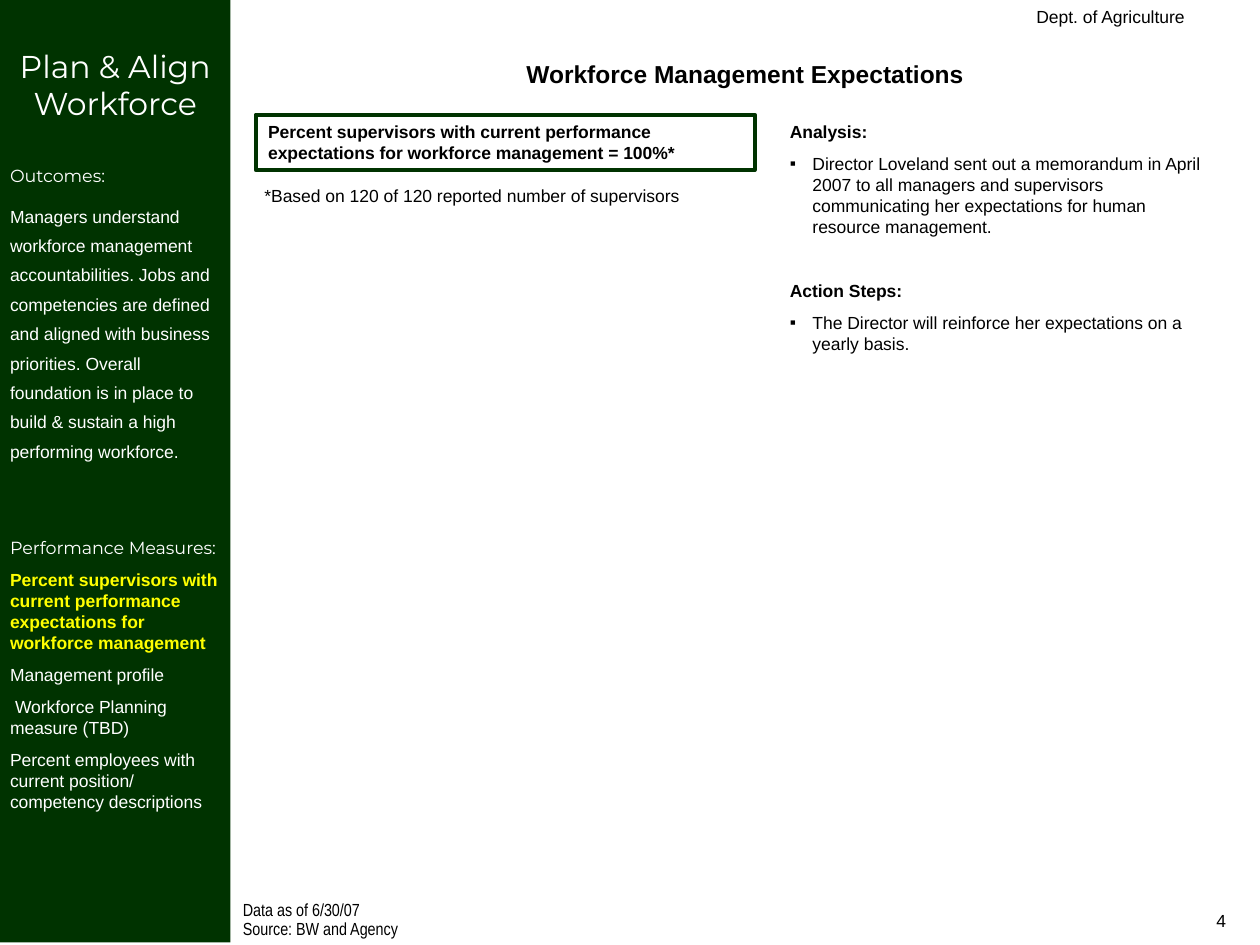
from pptx import Presentation
from pptx import util as u
from pptx.dml.color import RGBColor
from pptx.enum import shapes, text
from pptx.oxml import parse_xml
from pptx.oxml.ns import nsdecls

HUES = {"pine": "003300", "ink": "000000", "snow": "FFFFFF", "sun": "FFFF00"}
SANS, HEAD, SLIM = "Arial", "Montserrat", "Arial Narrow"
GAP, BREAK, WIDE = 6.2, 24.6, 43


class Deck:
    """Hold the style and the current slide, and draw its elements."""

    def __init__(self, width, height):
        self.prs = Presentation()
        self.prs.slide_width = u.Inches(width)
        self.prs.slide_height = u.Inches(height)
        self.slide = self.prs.slides.add_slide(self.prs.slide_layouts[6])

    def hue(self, name):
        return RGBColor.from_string(HUES[name])

    def setup(self, shape, pad):
        frame = shape.text_frame
        frame.word_wrap = True
        frame.vertical_anchor = text.MSO_ANCHOR.TOP
        sides = ("left", "top", "right", "bottom")
        for side, size in zip(sides, pad):
            setattr(frame, "margin_" + side, u.Inches(size))
        return frame

    def text(self, *at, pad=(0.1, 0.05, 0.1, 0.05)):
        box = self.slide.shapes.add_textbox(*map(u.Inches, at))
        return self.setup(box, pad)

    def rect(self, *at, fill=None, line=None, pad=(0.1, 0.05, 0.1, 0.05)):
        box = self.slide.shapes.add_shape(
            shapes.MSO_SHAPE.RECTANGLE, *map(u.Inches, at))
        box.shadow.inherit = False
        if fill:
            box.fill.solid()
            box.fill.fore_color.rgb = self.hue(fill)
        else:
            box.fill.background()
        if line:
            box.line.color.rgb = self.hue(line)
            box.line.width = u.Pt(2.25)
        else:
            box.line.fill.background()
        return self.setup(box, pad)

    def para(self, frame, words, size=10, font=SANS, hue="ink", bold=False,
             align="LEFT", gap=GAP, lead=None, shift=0, mark=False):
        first = not frame.paragraphs[0].runs
        para = frame.paragraphs[0] if first else frame.add_paragraph()
        para.add_run().text = words
        para.alignment = getattr(text.PP_ALIGN, align)
        para.space_before = u.Pt(0 if first else gap)
        if lead:
            para.line_spacing = lead
        props = para._p.get_or_add_pPr()
        if shift:
            props.set("indent", str(u.Inches(shift)))
        if mark:
            props.set("marL", str(u.Inches(0.18)))
            props.set("indent", str(u.Inches(-0.18)))
            props.append(parse_xml(f'<a:buFont {nsdecls("a")} typeface="Arial"/>'))
            props.append(parse_xml(f'<a:buChar {nsdecls("a")} char="▪"/>'))
        para.font.size = u.Pt(size)
        para.font.name = font
        para.font.bold = bold
        para.font.color.rgb = self.hue(hue)


def main():
    deck = Deck(10, 7.5)

    notes = deck.text(6.17, 0.91, 3.56, 2.21)
    deck.para(notes, "Analysis:", bold=True)
    deck.para(notes, "Director Loveland sent out a memorandum in April 2007 to all "
              "managers and supervisors communicating her expectations for human "
              "resource management.", mark=True)
    deck.para(notes, "Action Steps:", bold=True, gap=BREAK)
    deck.para(notes, "The Director will reinforce her expectations on a yearly basis.",
              mark=True)

    side = deck.rect(0, 0, 1.83, 7.48, fill="pine", pad=(0.08, 0.37, 0.08, 0.04))
    deck.para(side, "Plan & Align Workforce", size=18, font=HEAD, hue="snow",
              align="CENTER")
    deck.para(side, "Outcomes:", font=HEAD, hue="snow", gap=BREAK)
    deck.para(side, "Managers understand workforce management accountabilities. Jobs "
              "and competencies are defined and aligned with business priorities. "
              "Overall foundation is in place to build & sustain a high performing "
              "workforce.", hue="snow", lead=1.4)
    deck.para(side, "Performance Measures:", font=HEAD, hue="snow", gap=WIDE)
    deck.para(side, "Percent supervisors with current performance expectations for "
              "workforce management", hue="sun", bold=True)
    deck.para(side, "Management profile", hue="snow")
    deck.para(side, "Workforce Planning measure (TBD)", hue="snow", shift=0.04)
    deck.para(side, "Percent employees with current position/ competency descriptions",
              hue="snow")

    foot = deck.text(1.83, 7.13, 4.83, 0.37)
    for words in ("Data as of 6/30/07", "Source: BW and Agency"):
        deck.para(foot, words, font=SLIM, gap=2.5, lead=0.7)

    goal = deck.rect(2.03, 0.91, 3.96, 0.44, line="pine")
    deck.para(goal, "Percent supervisors with current performance expectations for "
              "workforce management = 100%*", bold=True)
    deck.para(deck.text(2, 1.42, 3.96, 0.27),
              "*Based on 120 of 120 reported number of supervisors")
    deck.para(deck.text(1.83, 0.42, 8.17, 0.34), "Workforce Management Expectations",
              size=14, bold=True, align="CENTER")
    deck.para(deck.text(4.5, 0, 5, 0.25), "Dept. of Agriculture", align="RIGHT")
    deck.para(deck.text(7.5, 7.17, 2.33, 0.33), "4", align="RIGHT")

    deck.prs.save("out.pptx")


if __name__ == "__main__":
    main()
